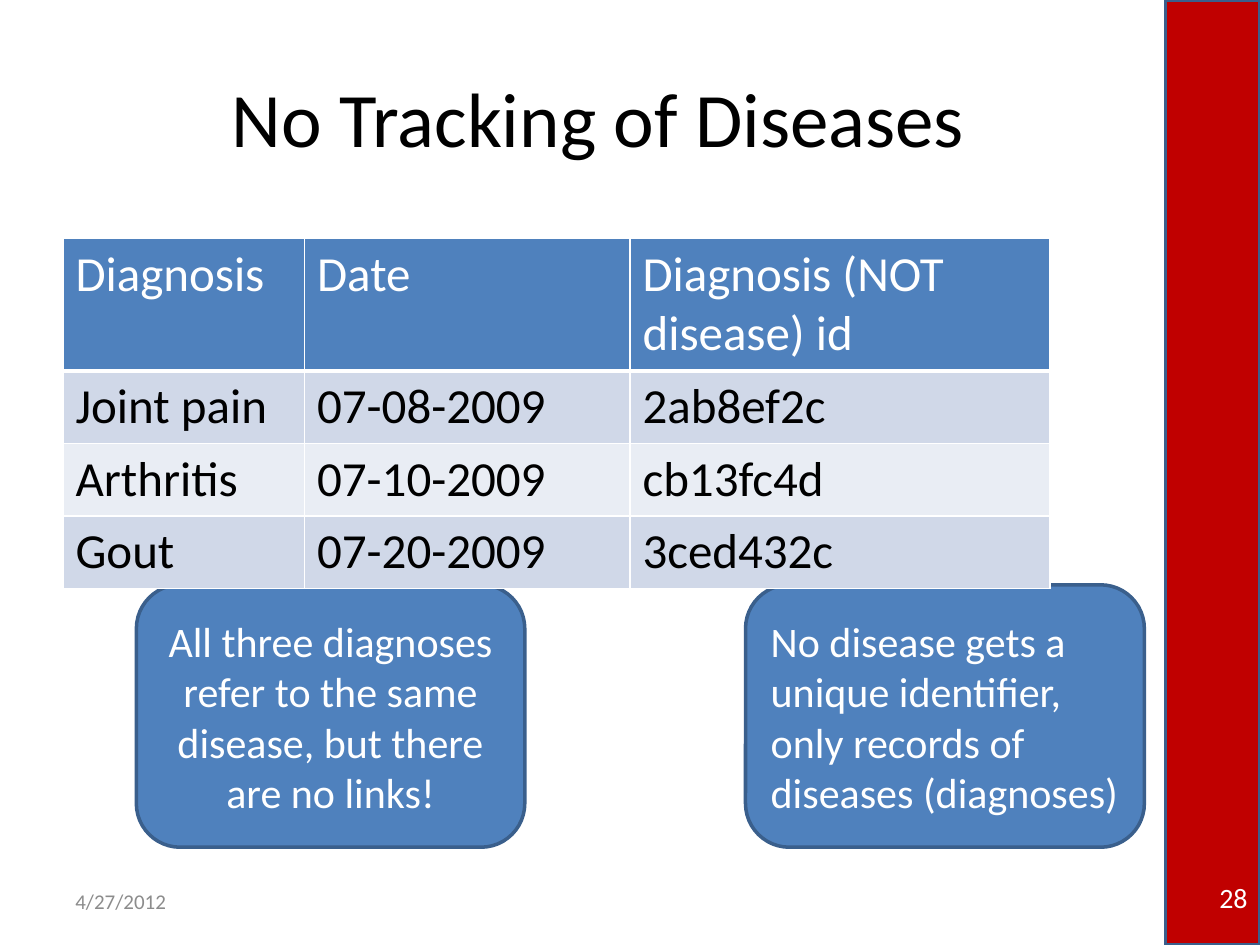
import pptx
import pptx.util
import pptx.dml.color
import pptx.enum.shapes
import pptx.enum.text
import pptx.oxml
import pptx.oxml.ns

Cm = pptx.util.Cm
Pt = pptx.util.Pt
Shapes = pptx.enum.shapes.MSO_SHAPE
Align = pptx.enum.text.PP_ALIGN
Anchor = pptx.enum.text.MSO_ANCHOR

COLORS = {
    "white": "FFFFFF",
    "black": "000000",
    "grey": "8C8C8C",
    "red": "C00000",
    "blue": "4F81BD",
    "outline": "3A5F8C",
    "band_dark": "D0D8E8",
    "band_light": "E9EDF4",
}
FONT = "Calibri"
ROWS = [
    ["Diagnosis", "Date", "Diagnosis (NOT disease) id"],
    ["Joint pain", "07-08-2009", "2ab8ef2c"],
    ["Arthritis", "07-10-2009", "cb13fc4d"],
    ["Gout", "07-20-2009", "3ced432c"],
]


def rgb(name):
    return pptx.dml.color.RGBColor.from_string(COLORS[name])


def write(frame, text, size=24, color="black", align=Align.LEFT, anchor=Anchor.MIDDLE):
    frame.word_wrap = True
    frame.vertical_anchor = anchor
    para = frame.paragraphs[0]
    para.alignment = align
    span = para.add_run()
    span.text = text
    span.font.name = FONT
    span.font.size = Pt(size)
    span.font.color.rgb = rgb(color)


def place(shape, box):
    shape.left, shape.top, shape.width, shape.height = (Cm(length) for length in box)


def add_filled(page, kind, box, fill):
    shape = page.shapes.add_shape(kind, *(Cm(length) for length in box))
    shape.shadow.inherit = False
    shape.fill.solid()
    shape.fill.fore_color.rgb = rgb(fill)
    shape.line.color.rgb = rgb("outline")
    shape.line.width = Pt(2)
    return shape


def add_label(page, box, text, **style):
    label = page.shapes.add_textbox(*(Cm(length) for length in box))
    write(label.text_frame, text, **style)


def add_sidebar(page, box):
    left, top, width, height = box
    add_filled(page, Shapes.RECTANGLE, box, "red")
    add_label(page, (left, top + height - 1.47, width, 1.02), "28",
              size=16, color="white", align=Align.RIGHT)


def add_title(page, box, text):
    title = page.shapes.title
    place(title, box)
    write(title.text_frame, text, size=44, align=Align.CENTER)


def add_callout(page, box, text, tail, align):
    callout = add_filled(page, Shapes.ROUNDED_RECTANGULAR_CALLOUT, box, "blue")
    callout.adjustments[0], callout.adjustments[1] = tail
    write(callout.text_frame, text, color="white", align=align)


def set_borders(cell, bottom=1):
    properties = cell._tc.get_or_add_tcPr()
    widths = {"lnL": 1, "lnR": 1, "lnT": 1, "lnB": bottom}
    for position, (side, width) in enumerate(widths.items()):
        border = pptx.oxml.parse_xml(
            f'<a:{side} {pptx.oxml.ns.nsdecls("a")} w="{Pt(width)}"><a:solidFill>'
            f'<a:srgbClr val="{COLORS["white"]}"/></a:solidFill></a:{side}>')
        properties.insert(position, border)


def add_diagnosis_table(page, left, top, widths, heights):
    box = (left, top, sum(widths), sum(heights))
    table = page.shapes.add_table(len(heights), len(widths),
                                  *(Cm(length) for length in box)).table
    for column, width in zip(table.columns, widths):
        column.width = Cm(width)
    for row, height in zip(table.rows, heights):
        row.height = Cm(height)
    for index, texts in enumerate(ROWS):
        header = index == 0
        fill = "blue" if header else "band_dark" if index % 2 else "band_light"
        for column, text in enumerate(texts):
            cell = table.cell(index, column)
            cell.fill.solid()
            cell.fill.fore_color.rgb = rgb(fill)
            set_borders(cell, bottom=3 if header else 1)
            cell.vertical_anchor = Anchor.TOP
            write(cell.text_frame, text, size=28, anchor=None,
                  color="white" if header else "black")


def main():
    deck = pptx.Presentation()
    deck.slide_width, deck.slide_height = Cm(25.4), Cm(19.05)
    page = deck.slides.add_slide(deck.slide_layouts[5])
    add_sidebar(page, (23.5, 0, 1.9, 19.05))
    add_label(page, (1.27, 17.65, 5.92, 1.02), "4/27/2012", size=12, color="grey")
    add_title(page, (1.27, 0.76, 21.59, 3.18), "No Tracking of Diseases")
    add_callout(page, (2.75, 11.79, 7.83, 5.29),
                "All three diagnoses refer to the same disease, but there are no links!",
                (-0.41, -0.71), Align.CENTER)
    add_callout(page, (15.03, 11.79, 8.04, 5.29),
                "No disease gets a unique identifier, only records of diseases (diagnoses)",
                (-0.38, -0.7), Align.LEFT)
    add_diagnosis_table(page, 1.27, 4.8, [4.87, 6.56, 8.47], [2.68] + [1.46] * 3)
    deck.save("out.pptx")


if __name__ == "__main__":
    main()
